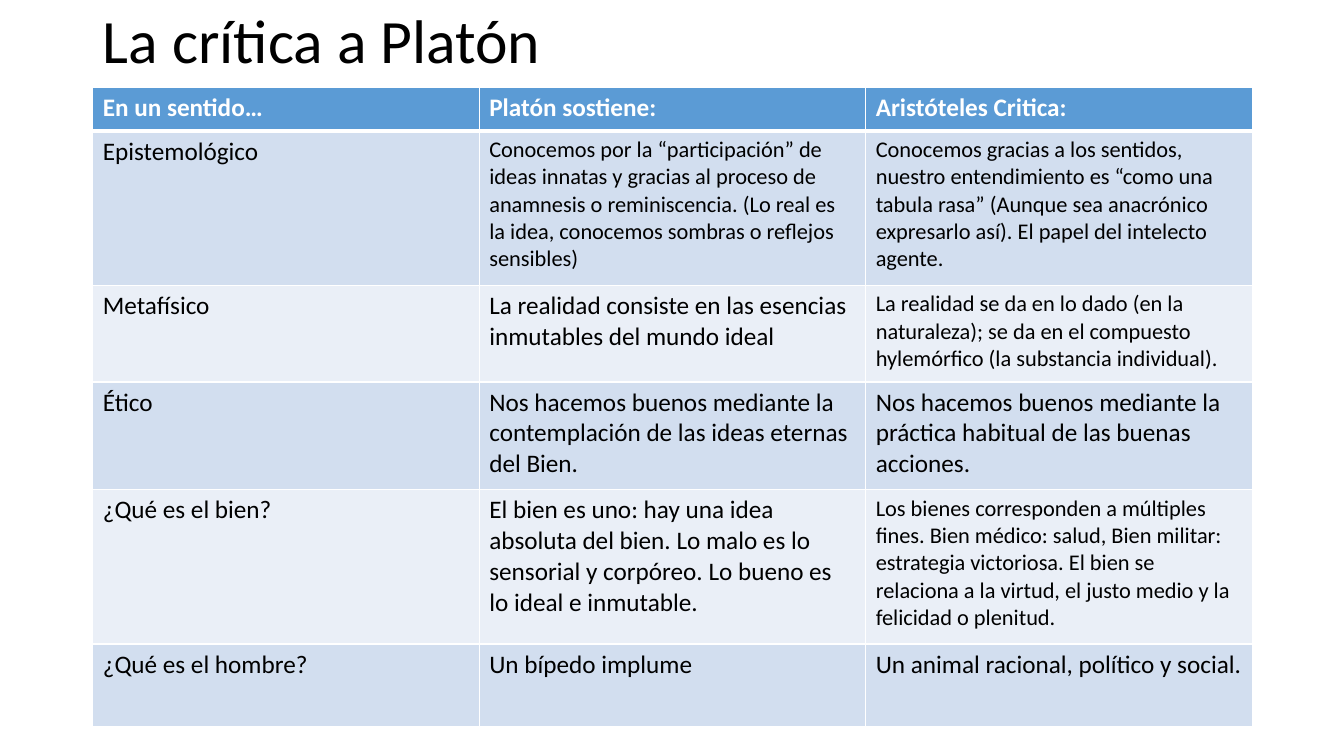
import pptx
import pptx.dml.color
import pptx.enum.text
import pptx.oxml
import pptx.oxml.ns
import pptx.util
from pptx.dml.color import RGBColor
from pptx.util import Inches

TITLE = "La crítica a Platón"
HEADERS = ["En un sentido…", "Platón sostiene:", "Aristóteles Critica:"]
# Each cell: text, font size
ROWS = [
    [("Epistemológico", 18),
     ("Conocemos por la “participación” de ideas innatas y gracias al proceso de "
      "anamnesis o reminiscencia. (Lo real es la idea, conocemos sombras o reflejos "
      "sensibles)", 16),
     ("Conocemos gracias a los sentidos, nuestro entendimiento es “como una tabula "
      "rasa” (Aunque sea anacrónico expresarlo así). El papel del intelecto agente.", 16)],
    [("Metafísico", 18),
     ("La realidad consiste en las esencias inmutables del mundo ideal", 18),
     ("La realidad se da en lo dado (en la naturaleza); se da en el compuesto "
      "hylemórfico (la substancia individual).", 16)],
    [("Ético", 18),
     ("Nos hacemos buenos mediante la contemplación de las ideas eternas del Bien.", 18),
     ("Nos hacemos buenos mediante la práctica habitual de las buenas acciones.", 18)],
    [("¿Qué es el bien?", 18),
     ("El bien es uno: hay una idea absoluta del bien. Lo malo es lo sensorial y "
      "corpóreo. Lo bueno es lo ideal e inmutable.", 18),
     ("Los bienes corresponden a múltiples fines. Bien médico: salud, Bien militar: "
      "estrategia victoriosa. El bien se relaciona a la virtud, el justo medio y la "
      "felicidad o plenitud.", 16)],
    [("¿Qué es el hombre?", 18),
     ("Un bípedo implume", 18),
     ("Un animal racional, político y social.", 18)],
]
ROW_HEIGHTS = [0.43, 1.53, 0.96, 1.07, 1.53, 0.82]

FONT = "Calibri"
BLACK = RGBColor(0x00, 0x00, 0x00)
WHITE = RGBColor(0xFF, 0xFF, 0xFF)
HEADER_BLUE = RGBColor(0x5B, 0x9B, 0xD5)
BANDS = [RGBColor(0xD2, 0xDE, 0xEF), RGBColor(0xEA, 0xEF, 0xF7)]
LEFT, WIDTH, TITLE_HEIGHT = 0.92, 11.5, 0.87


def set_font(para, size, color, bold=False):
    para.font.name = FONT
    para.font.size = pptx.util.Pt(size)
    para.font.bold = bold
    para.font.color.rgb = color


def add_borders(cell, bottom_width):
    properties = cell._tc.get_or_add_tcPr()
    widths = {"lnL": 1, "lnR": 1, "lnT": 1, "lnB": bottom_width}
    for position, (side, width) in enumerate(widths.items()):
        line = pptx.oxml.parse_xml(
            f'<a:{side} {pptx.oxml.ns.nsdecls("a")} w="{pptx.util.Pt(width)}">'
            f'<a:solidFill><a:srgbClr val="{WHITE}"/></a:solidFill></a:{side}>')
        properties.insert(position, line)


def fill_cell(cell, text, size, color, fill, bold=False, bottom_width=1):
    cell.text = text
    set_font(cell.text_frame.paragraphs[0], size, color, bold)
    cell.fill.solid()
    cell.fill.fore_color.rgb = fill
    add_borders(cell, bottom_width)


def main():
    deck = pptx.Presentation()
    deck.slide_width, deck.slide_height = Inches(13.33), Inches(7.5)
    page = deck.slides.add_slide(deck.slide_layouts.get_by_name("Title Only"))

    # Title
    title = page.shapes.title
    title.left, title.top = Inches(LEFT), Inches(0)
    title.width, title.height = Inches(WIDTH), Inches(TITLE_HEIGHT)
    title.text_frame.text = TITLE
    title.text_frame.vertical_anchor = pptx.enum.text.MSO_ANCHOR.MIDDLE
    para = title.text_frame.paragraphs[0]
    para.alignment = pptx.enum.text.PP_ALIGN.LEFT
    para.line_spacing = 0.9
    set_font(para, 44, BLACK)

    # Comparison table
    table = page.shapes.add_table(
        len(ROW_HEIGHTS), len(HEADERS), Inches(LEFT), Inches(TITLE_HEIGHT),
        Inches(WIDTH), Inches(sum(ROW_HEIGHTS))).table
    for row, height in zip(table.rows, ROW_HEIGHTS):
        row.height = Inches(height)
    for column, header in enumerate(HEADERS):
        fill_cell(table.cell(0, column), header, 18, WHITE, HEADER_BLUE,
                  bold=True, bottom_width=3)
    for index, row in enumerate(ROWS):
        for column, (text, size) in enumerate(row):
            fill_cell(table.cell(index + 1, column), text, size, BLACK,
                      BANDS[index % 2])

    deck.save("out.pptx")


if __name__ == "__main__":
    main()
